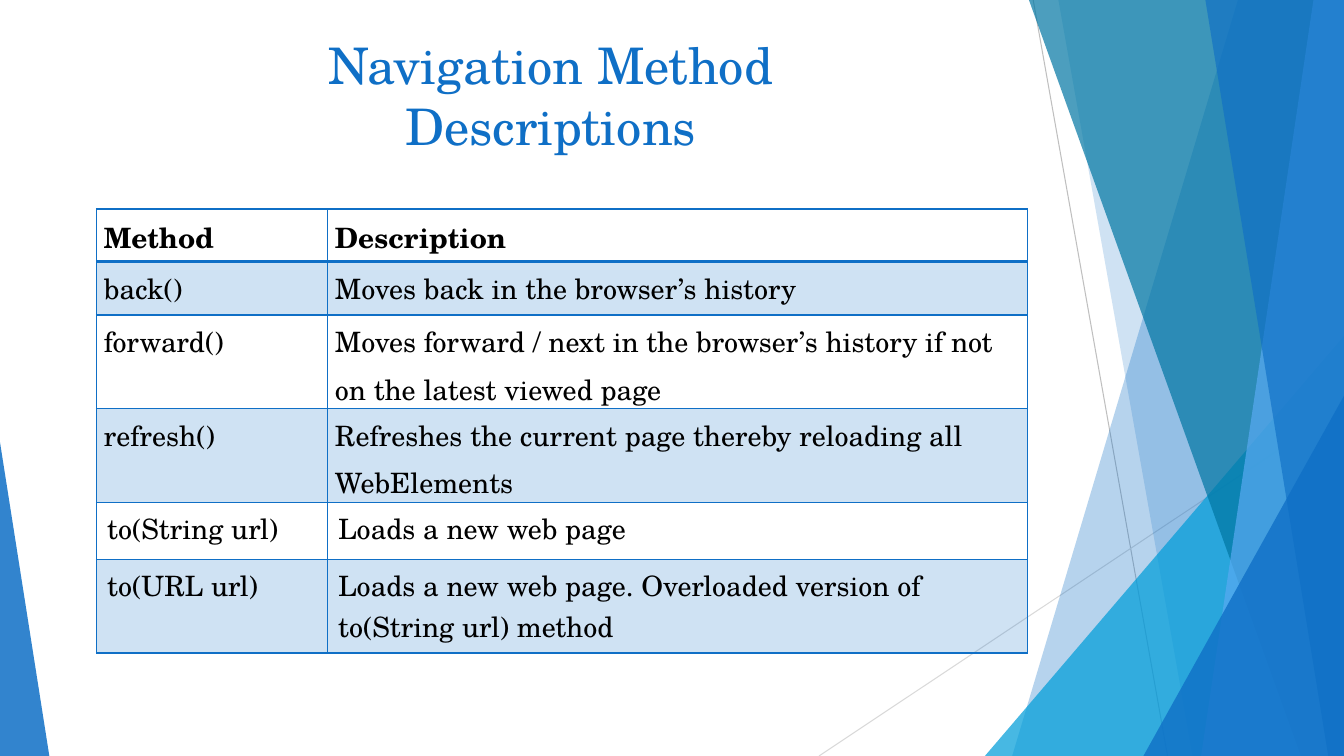
from dataclasses import dataclass
from typing import Any

import pptx
import pptx.util
import pptx.dml.color
import pptx.enum.shapes
import pptx.enum.text
import pptx.oxml
import pptx.oxml.ns
from lxml import etree

PX = 9525  # EMU in one px (96 px to the inch)
WIDE, HIGH = 1280, 720


@dataclass(frozen=True)
class Theme:
    font: str = "TeX Gyre Schola"
    blue: str = "0F6FC6"
    cyan: str = "009DD9"
    teal: str = "0076A3"
    sky: str = "59AAF2"
    ink: str = "000000"
    head: int = 36
    body: int = 20
    tint: int = 20


@dataclass(frozen=True)
class Ray:
    start: tuple[int, int]
    end: tuple[int, int]
    color: str


@dataclass(frozen=True)
class Band:
    """Fills the slide to its right edge, from a slanted left side."""
    top: int
    foot: int
    color: str
    alpha: int


@dataclass(frozen=True)
class Wedge:
    left: int
    top: int
    width: int
    apex: int
    color: str
    alpha: int


@dataclass(frozen=True)
class Row:
    name: str
    note: str
    height: int
    roomy: bool = False


THEME = Theme()

RAYS = [
    Ray((984, 0), (1112, HIGH), "BFBFBF"),
    Ray((WIDE, 387), (780, HIGH), "D9D9D9"),
]
DECOR = [
    Band(1179, 964, THEME.blue, 30),
    Band(1008, 1136, THEME.blue, 20),
    Wedge(938, 320, 342, 1, THEME.cyan, 72),
    Band(980, 1239, THEME.teal, 70),
    Band(1251, 1144, THEME.sky, 70),
    Band(1148, 1265, THEME.blue, 65),
    Wedge(1089, 377, 191, 1, THEME.blue, 80),
    Wedge(0, 421, 47, 0, THEME.blue, 85),
]
COLS = [220, 667]
ROWS = [
    Row("Method", "Description", 50),
    Row("back()", "Moves back in the browser’s history", 51),
    Row("forward()", "Moves forward / next in the browser’s history "
        "if not on the latest viewed page", 89),
    Row("refresh()", "Refreshes the current page thereby reloading all "
        "WebElements", 90),
    Row("to(String url)", "Loads a new web page", 54, True),
    Row("to(URL url)", "Loads a new web page. Overloaded version of "
        "to(String url) method", 89, True),
]


def rgb(code: str) -> pptx.dml.color.RGBColor:
    return pptx.dml.color.RGBColor.from_string(code)


def paint(fill: Any, node: Any, color: str, alpha: int) -> None:
    fill.solid()
    fill.fore_color.rgb = rgb(color)
    tone = next(node.iter(pptx.oxml.ns.qn("a:srgbClr")))
    etree.SubElement(tone, pptx.oxml.ns.qn("a:alpha"), val=str(alpha * 1000))


def write(frame: Any, text: str, *, size: int, color: str, bold: bool = False,
          align: Any = None, lines: float | None = None,
          after: int | None = None) -> None:
    par = frame.paragraphs[0]
    par.text = text
    par.alignment = align
    par.line_spacing = lines
    if after is not None:
        par.space_after = pptx.util.Pt(after)
    for run in par.runs:
        run.font.name = THEME.font
        run.font.size = pptx.util.Pt(size)
        run.font.bold = bold
        run.font.color.rgb = rgb(color)


def draw_ray(slide: Any, ray: Ray) -> None:
    line = slide.shapes.add_connector(
        pptx.enum.shapes.MSO_CONNECTOR.STRAIGHT,
        *(v * PX for v in ray.start + ray.end))
    line.line.color.rgb = rgb(ray.color)
    line.line.width = pptx.util.Pt(0.75)
    etree.SubElement(line.element.spPr, pptx.oxml.ns.qn("a:effectLst"))


def draw_decor(slide: Any, item: Band | Wedge) -> None:
    if isinstance(item, Band):
        build = slide.shapes.build_freeform(item.top, 0, PX)
        build.add_line_segments([(WIDE, 0), (WIDE, HIGH), (item.foot, HIGH)])
        shape = build.convert_to_shape()
    else:
        shape = slide.shapes.add_shape(
            pptx.enum.shapes.MSO_SHAPE.ISOSCELES_TRIANGLE, item.left * PX,
            item.top * PX, item.width * PX, (HIGH - item.top) * PX)
        shape.adjustments[0] = item.apex
    shape.shadow.inherit = False
    shape.line.fill.background()
    paint(shape.fill, shape.element.spPr, item.color, item.alpha)


def edge(cell: Any, sides: dict[str, int]) -> None:
    props = cell._tc.get_or_add_tcPr()
    for spot, (side, width) in enumerate(sides.items()):
        props.insert(spot, pptx.oxml.parse_xml(
            f'<a:ln{side} {pptx.oxml.ns.nsdecls("a")} w="{width * 12700}">'
            f'<a:solidFill><a:srgbClr val="{THEME.blue}"/></a:solidFill>'
            f'</a:ln{side}>'))


def draw_table(slide: Any) -> None:
    table = slide.shapes.add_table(
        len(ROWS), len(COLS), 92 * PX, 199 * PX, sum(COLS) * PX,
        sum(row.height for row in ROWS) * PX).table
    table.first_row = table.horz_banding = False
    for col, width in zip(table.columns, COLS):
        col.width = width * PX
    for i, row in enumerate(ROWS):
        table.rows[i].height = row.height * PX
        side, rise = (10, 5) if row.roomy else (7, 0)
        for j, text in enumerate((row.name, row.note)):
            cell = table.cell(i, j)
            cell.margin_left = cell.margin_right = side * PX
            cell.margin_top = cell.margin_bottom = rise * PX
            if i % 2:
                paint(cell.fill, cell._tc.get_or_add_tcPr(),
                      THEME.blue, THEME.tint)
            else:
                cell.fill.background()
            edge(cell, {"L": 1, "R": 1, "T": 2 if i == 1 else 1,
                        "B": 2 if i == 0 else 1})
            write(cell.text_frame, text, size=THEME.body, color=THEME.ink,
                  bold=i == 0, lines=None if row.roomy else 1.15,
                  after=None if row.roomy else 10)


def main() -> None:
    deck = pptx.Presentation()
    deck.slide_width, deck.slide_height = WIDE * PX, HIGH * PX
    slide = deck.slides.add_slide(deck.slide_layouts[6])

    # Slanted backdrop
    for ray in RAYS:
        draw_ray(slide, ray)
    for item in DECOR:
        draw_decor(slide, item)

    # Title
    box = slide.shapes.add_textbox(103 * PX, 28 * PX, 843 * PX, 112 * PX)
    box.text_frame.word_wrap = True
    write(box.text_frame, "Navigation Method\vDescriptions", size=THEME.head,
          color=THEME.blue, align=pptx.enum.text.PP_ALIGN.CENTER)

    # Methods
    draw_table(slide)

    deck.save("out.pptx")


if __name__ == "__main__":
    main()
